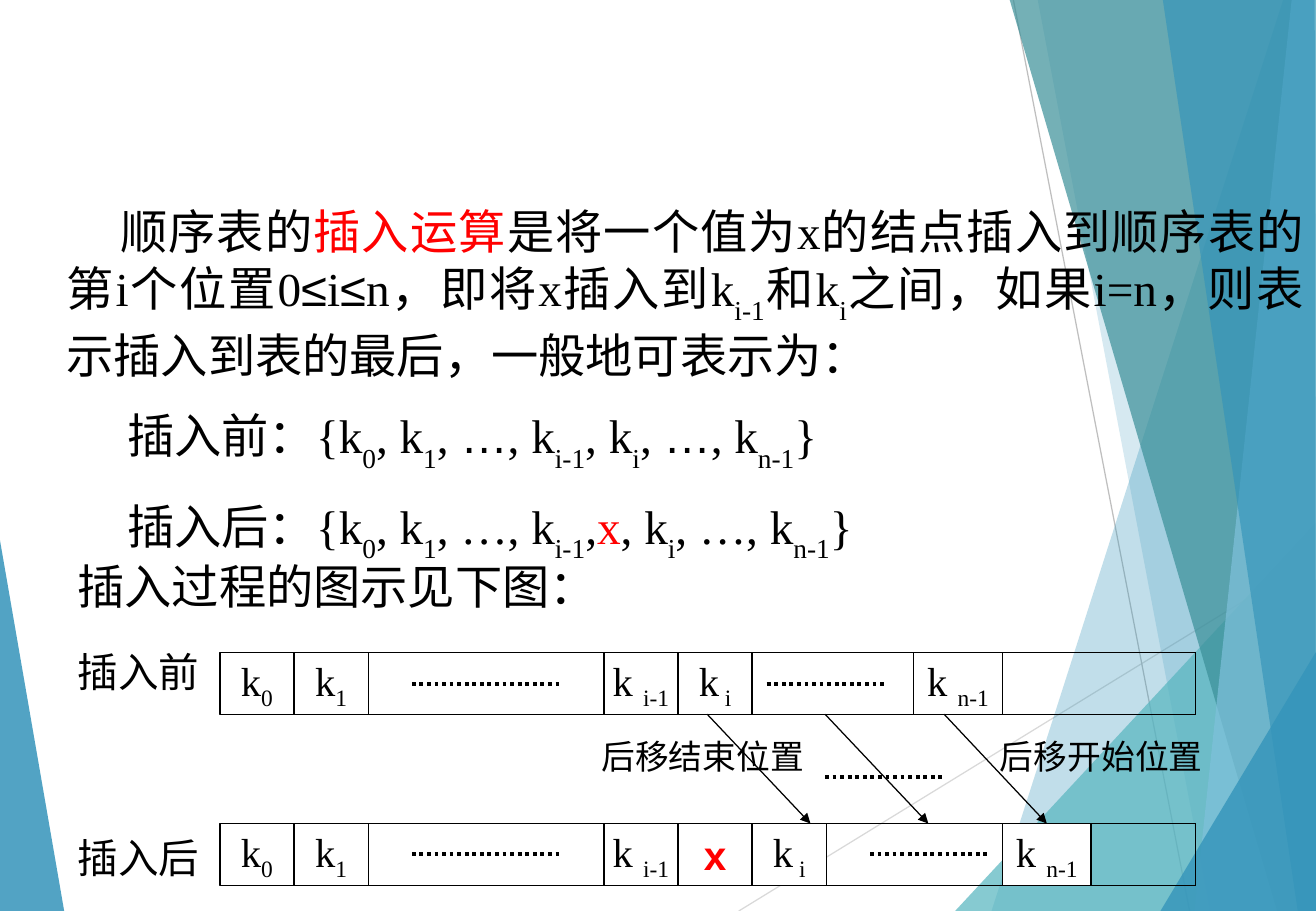
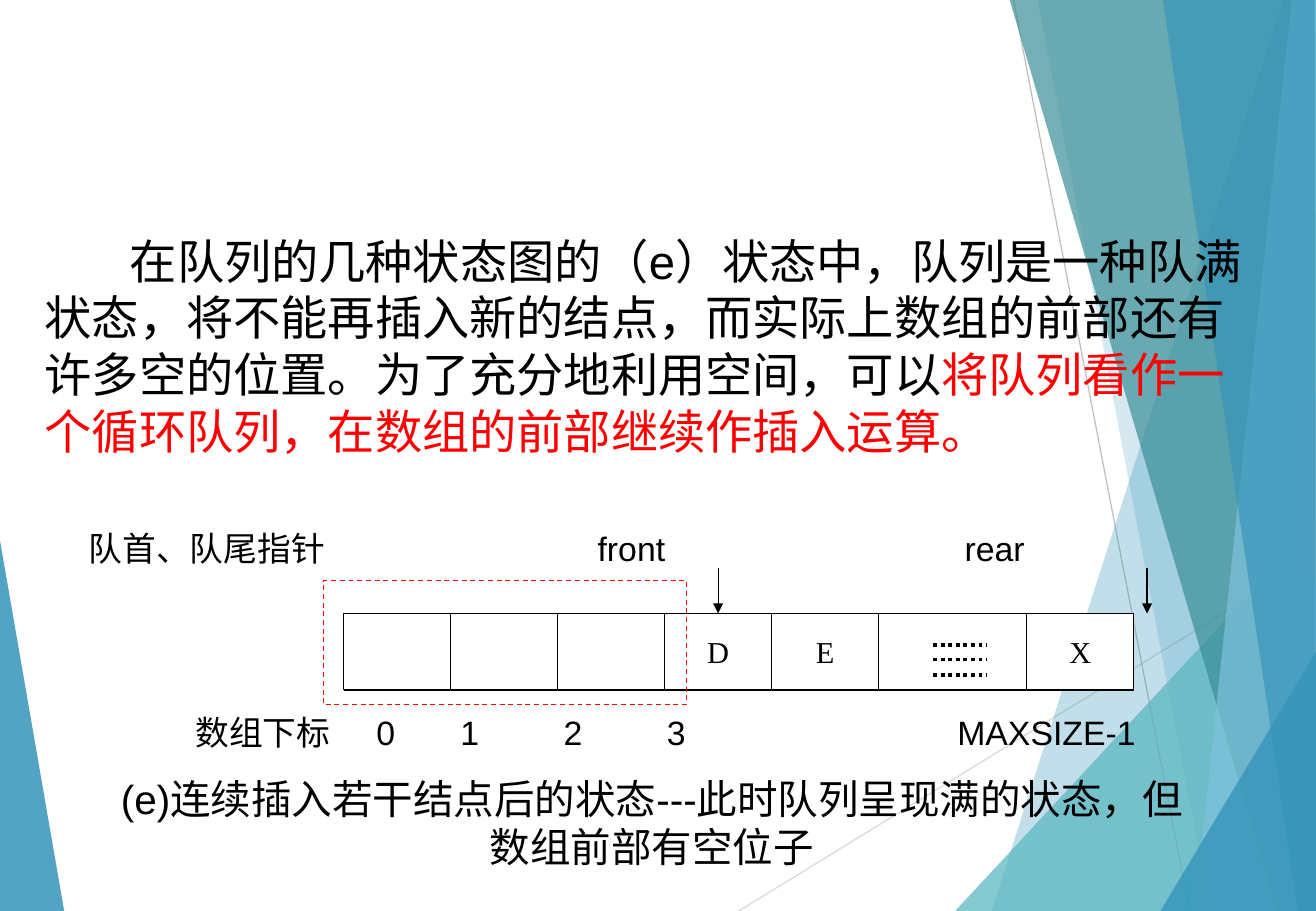
"""Build two slides on inserting into a sequential list and on a full queue."""
from lxml import etree
from pptx import Presentation
from pptx.dml.color import RGBColor
from pptx.enum.dml import MSO_LINE
from pptx.enum.shapes import MSO_CONNECTOR, MSO_SHAPE
from pptx.enum.text import MSO_ANCHOR, PP_ALIGN
from pptx.oxml.ns import qn
from pptx.util import Inches, Pt

BLACK = RGBColor(0x00, 0x00, 0x00)
WHITE = RGBColor(0xFF, 0xFF, 0xFF)
RED = RGBColor(0xFF, 0x00, 0x00)
BLUE = RGBColor(0x34, 0x94, 0xBA)
AQUA = RGBColor(0x58, 0xB6, 0xC0)
TEAL = RGBColor(0x3A, 0x8F, 0x98)
SKY = RGBColor(0x7F, 0xC1, 0xDB)
PALE = RGBColor(0xD9, 0xD9, 0xD9)
GRAY = RGBColor(0xBF, 0xBF, 0xBF)

RECT = MSO_SHAPE.RECTANGLE
STRAIGHT = MSO_CONNECTOR.STRAIGHT
DOT, DASH = MSO_LINE.ROUND_DOT, MSO_LINE.DASH
LEFT, CENTER, JUST = PP_ALIGN.LEFT, PP_ALIGN.CENTER, PP_ALIGN.JUSTIFY
MIDDLE = MSO_ANCHOR.MIDDLE

ARIAL, TIMES = "Arial", "Times New Roman"
STYLES = {
    "a": (ARIAL, BLACK, 0),
    "ar": (ARIAL, RED, 0),
    "t": (TIMES, BLACK, 0),
    "tr": (TIMES, RED, 0),
    "sub": (TIMES, BLACK, -30),
    "low": (TIMES, BLACK, -25),
}


def write(para, runs, size, align=LEFT, indent=0):
    """Fill a paragraph with styled runs."""
    para.alignment = align
    para._p.get_or_add_pPr().set("indent", str(Inches(indent)))
    for text, style in runs:
        name, color, shift = STYLES[style]
        run = para.add_run()
        run.text = text
        run.font.size = Pt(size)
        run.font.name = name
        run.font.color.rgb = color
        run.font.bold = text == "x" and style == "ar"
        if shift:
            run.font._element.set("baseline", str(shift * 1000))


def draw(slide, start, end, color=BLACK, width=0.75, dash=None, arrow=False):
    """Draw a straight line or arrow."""
    line = slide.shapes.add_connector(STRAIGHT, *map(Inches, start + end))
    line.line.color.rgb = color
    line.line.width = Pt(width)
    if dash:
        line.line.dash_style = dash
    props = line.element.spPr
    if arrow:
        etree.SubElement(props.find(qn("a:ln")), qn("a:tailEnd"), type="triangle")
    etree.SubElement(props, qn("a:effectLst"))
    return line


prs = Presentation()
prs.slide_width, prs.slide_height = Inches(10.83), Inches(7.5)
blank = prs.slide_layouts[6]
insert = prs.slides.add_slide(blank)
queue = prs.slides.add_slide(blank)

draw(insert, (6.08, 7.5), (10.85, 4.57), PALE)
draw(insert, (8.34, 0), (9.79, 7.5), GRAY)
facets = [
    (BLUE, 85, [(-0.01, 4.39), (0.53, 7.51), (-0.01, 7.5)]),
    (BLUE, 30, [(10.56, 0), (8.16, 7.5), (10.84, 7.5), (10.84, 0)]),
    (BLUE, 20, [(8.54, 0), (9.96, 7.5), (10.84, 7.5), (10.84, 0)]),
    (AQUA, 72, [(7.86, 7.5), (10.84, 4.29), (10.84, 7.5)]),
    (TEAL, 70, [(8.31, 0), (10.51, 7.5), (10.84, 7.5), (10.84, 0)]),
    (SKY, 70, [(10.63, 0), (9.83, 7.5), (10.84, 7.5), (10.84, 0)]),
    (BLUE, 65, [(9.57, 0), (10.68, 7.5), (10.83, 7.5), (10.82, 0)]),
    (BLUE, 80, [(9.55, 7.5), (10.84, 5.35), (10.84, 7.5)]),
]
for color, alpha, points in facets:
    spots = [(Inches(x), Inches(y)) for x, y in points]
    outline = insert.shapes.build_freeform(*spots[0])
    outline.add_line_segments(spots[1:], close=True)
    facet = outline.convert_to_shape()
    facet.shadow.inherit = False
    facet.fill.solid()
    facet.fill.fore_color.rgb = color
    facet.line.fill.background()
    tint = facet.element.spPr.find(".//" + qn("a:srgbClr"))
    etree.SubElement(tint, qn("a:alpha"), val=str(alpha * 1000))
for shape in list(insert.shapes):
    blank.shapes.element.append(shape.element)

about = [
    ("顺序表的", "a"), ("插入运算", "ar"), ("是将一个值为", "a"), ("x", "t"),
    ("的结点插入到顺序表的第", "a"), ("i", "t"), ("个位置", "a"), ("0", "t"),
    ("≤", "a"), ("i", "t"), ("≤", "a"), ("n", "t"), ("，即将", "a"), ("x", "t"),
    ("插入到", "a"), ("k", "t"), ("i-1", "sub"), ("和", "a"), ("k", "t"),
    ("i", "sub"), ("之间，如果", "a"), ("i=n", "t"),
    ("，则表示插入到表的最后，一般地可表示为：", "a"),
]
head = [("{k", "t"), ("0", "sub"), (", k", "t"), ("1", "sub")]
tail = [("n-1", "sub"), ("}", "t")]
before = [("插入前：", "a"), *head, (", ", "t"), ("…", "a"), (", k", "t"),
          ("i-1", "sub"), (", k", "t"), ("i", "sub"), (", ", "t"), ("…", "a"),
          (", k", "t"), *tail]
after = [("插入后", "a"), ("：", "t"), *head, (", …, k", "t"), ("i-1", "sub"),
         (",", "t"), ("x", "tr"), (", k", "t"), ("i", "sub"), (", …, k", "t"), *tail]
full = [
    ("在队列的几种状态图的（e）状态中，队列是一种队满状态，将不能再插入新的结点，"
     "而实际上数组的前部还有许多空的位置。为了充分地利用空间，可以", "a"),
    ("将队列看作一个循环队列，在数组的前部继续作插入运算。", "ar"),
]
state = "(e)连续插入若干结点后的状态---此时队列呈现满的状态，但数组前部有空位子"
texts = [
    (insert, (0.45, 1.62, 10.38, 2.9), 28, JUST,
     [(about, 0.44), (before, 0.5), (after, 0.5)]),
    (insert, (0.54, 4.54, 4.51, 0.57), 28, LEFT, [([("插入过程的图示见下图：", "a")], 0)]),
    (insert, (0.54, 5.28, 1.27, 0.5), 24, LEFT, [([("插入前", "t")], 0)]),
    (insert, (0.54, 6.81, 1.27, 0.5), 24, LEFT, [([("插入后", "t")], 0)]),
    (insert, (8.13, 6.01, 2.07, 0.43), 20, LEFT, [([("后移开始位置", "t")], 0)]),
    (insert, (4.85, 6.01, 2.07, 0.43), 20, LEFT, [([("后移结束位置", "t")], 0)]),
    (queue, (0.27, 1.86, 10.29, 1.97), 28, LEFT, [(full, 0.7)]),
    (queue, (0.74, 6.32, 9.25, 0.9), 24, CENTER, [([(state, "a")], 0)]),
]
labels = [
    (0.63, 4.3, 2.2, "队首、队尾指针"), (4.82, 4.3, 0.8, "front"), (7.84, 4.3, 0.8, "rear"),
    (1.51, 5.81, 1.4, "数组下标"), (3, 5.81, 0.4, "0"), (3.69, 5.81, 0.4, "1"),
    (4.54, 5.81, 0.4, "2"), (5.39, 5.81, 0.4, "3"), (7.78, 5.81, 1.8, "MAXSIZE-1"),
]
for x, y, wide, text in labels:
    texts.append((queue, (x, y, wide, 0.43), 20, LEFT, [([(text, "a")], 0)]))
for slide, box, size, align, paras in texts:
    frame = slide.shapes.add_textbox(*map(Inches, box)).text_frame
    frame.word_wrap = True
    for i, (runs, indent) in enumerate(paras):
        para = frame.add_paragraph() if i else frame.paragraphs[0]
        if i:
            para.space_before = Pt(size / 2)
        write(para, runs, size, align, indent)

TOP, LOW, HIGH = 5.37, 6.78, 0.51
WIDE, LAST = 0.61, 0.73
START, END = 1.81, 9.84
first = [("k", "t"), ("0", "low")]
second = [("k", "t"), ("1", "low")]
prior = [("k ", "t"), ("i-1", "low")]
here = [("k", "t"), (" i", "low")]
final = [("k ", "t"), ("n-1", "low")]
cells = []
for y in (TOP, LOW):
    cells += [(insert, START, y, WIDE, HIGH, first, 24),
              (insert, START + WIDE, y, WIDE, HIGH, second, 24),
              (insert, 4.97, y, WIDE, HIGH, prior, 24)]
cells += [
    (insert, 5.58, TOP, WIDE, HIGH, here, 24),
    (insert, 7.52, TOP, LAST, HIGH, final, 24),
    (insert, 5.58, LOW, WIDE, HIGH, [("x", "ar")], 24),
    (insert, 6.19, LOW, WIDE, HIGH, here, 24),
    (insert, 8.25, LOW, LAST, HIGH, final, 24),
]
SLOT, ROW, DEEP = 0.88, 5.05, 0.63
for i, mark in enumerate(["", "", "", "D", "E"]):
    cells.append((queue, 2.83 + i * SLOT, ROW, SLOT, DEEP, [(mark, "t")] if mark else [], 18))
cells.append((queue, 8.45, ROW, SLOT, DEEP, [("X", "t")], 18))
made = {}
for slide, x, y, wide, high, runs, size in cells:
    cell = slide.shapes.add_shape(RECT, Inches(x), Inches(y), Inches(wide), Inches(high))
    cell.shadow.inherit = False
    cell.fill.solid()
    cell.fill.fore_color.rgb = WHITE
    cell.line.color.rgb = BLACK
    cell.line.width = Pt(0.75)
    cell.text_frame.word_wrap = False
    cell.text_frame.vertical_anchor = MIDDLE
    write(cell.text_frame.paragraphs[0], runs, size, CENTER)
    made["".join(text for text, style in runs), y] = cell

for y in (TOP, LOW):
    for edge in (y, y + HIGH):
        draw(insert, (START, edge), (END, edge))
    draw(insert, (END, y), (END, y + HIGH))
for x, y, span in [(3.39, 5.63, 1.21), (6.31, 5.63, 0.97), (3.39, 7.03, 1.21),
                   (7.16, 7.03, 0.97), (6.79, 6.4, 0.98)]:
    draw(insert, (x, y), (x + span, y), width=2.25, dash=DOT)
for x in (5.82, 6.79, 7.77):
    shift = draw(insert, (x, TOP + HIGH), (x + 0.85, LOW), arrow=True)
shift.end_connect(made["k n-1", LOW], 0)

for y in (ROW, ROW + DEEP):
    draw(queue, (2.83, y), (9.33, y))
for y in (5.31, 5.43, 5.56):
    draw(queue, (7.68, y), (8.12, y), width=2.25, dash=DOT)
front, rear = [draw(queue, (x, 4.68), (x, ROW), arrow=True) for x in (5.91, 9.44)]
front.end_connect(made["D", ROW], 0)

free = queue.shapes.add_shape(RECT, Inches(2.66), Inches(4.78), Inches(2.99), Inches(1.02))
free.shadow.inherit = False
free.fill.background()
free.line.color.rgb = RED
free.line.width = Pt(0.75)
free.line.dash_style = DASH

prs.save("out.pptx")
